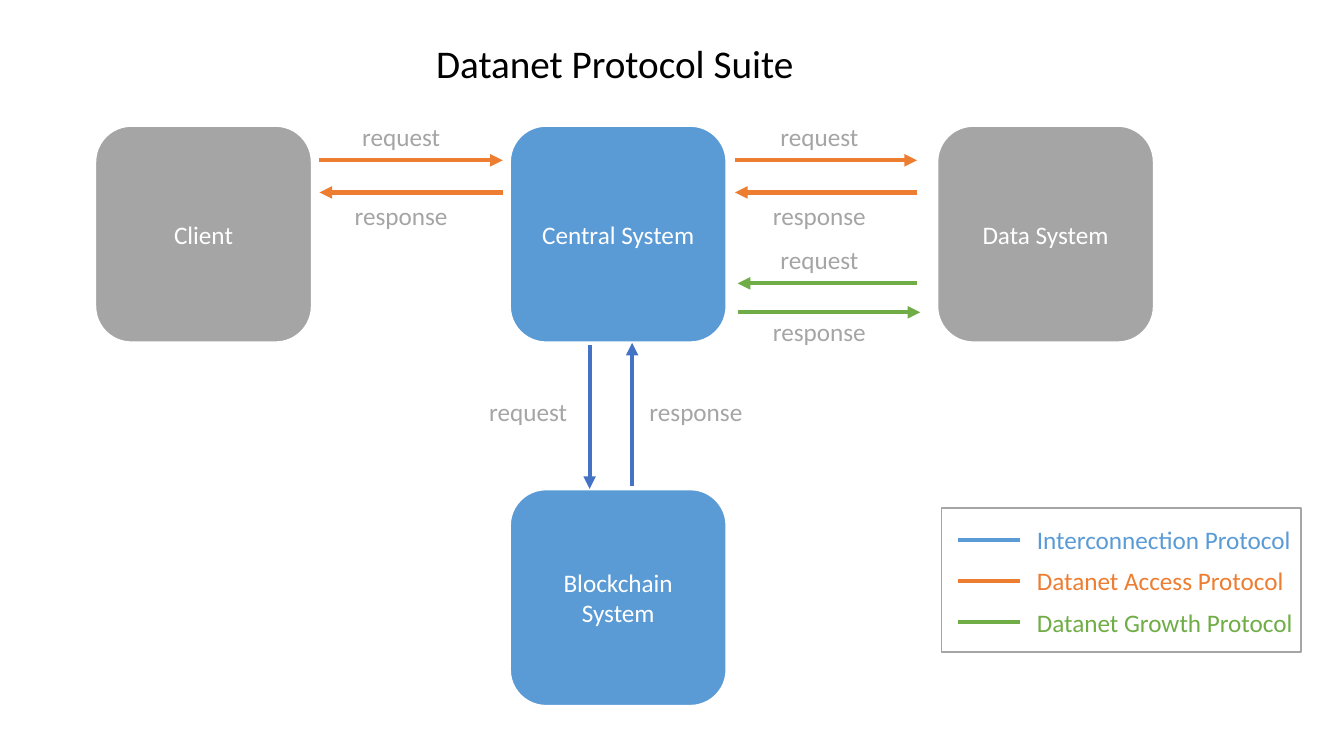
import pptx
import pptx.dml.color
import pptx.enum.shapes
import pptx.enum.text
import pptx.oxml
import pptx.oxml.ns
import pptx.util

Cm = pptx.util.Cm
Pt = pptx.util.Pt
ALIGN = pptx.enum.text.PP_ALIGN

COLOURS = {
    "black": "000000",
    "white": "FFFFFF",
    "grey": "A5A5A5",
    "system": "5B9BD5",
    "interconnection": "4472C4",
    "access": "ED7D31",
    "growth": "70AD47",
}
FONT = "Calibri"
BOX_SIZE = 5.46
BOX_RIGHT_OF_ARROWS = {"client": 2.4, "central": 12.85, "data": 23.62}
TOP_ROW, BOTTOM_ROW = 3.17, 12.33
LABEL_HEIGHT = 1.02
LABEL_WIDTHS = {"request": 2.49, "response": 2.87}


def colour(name):
    return pptx.dml.color.RGBColor.from_string(COLOURS[name])


def add_run(paragraph, text, colour_name, size=18):
    run = paragraph.add_run()
    run.text = text
    run.font.name = FONT
    run.font.size = Pt(size)
    run.font.color.rgb = colour(colour_name)


def add_text(slide, text, left, top, width, height, colour_name, size=18, align=ALIGN.LEFT):
    box = slide.shapes.add_textbox(Cm(left), Cm(top), Cm(width), Cm(height))
    box.text_frame.word_wrap = False
    box.text_frame.auto_size = pptx.enum.text.MSO_AUTO_SIZE.SHAPE_TO_FIT_TEXT
    paragraph = box.text_frame.paragraphs[0]
    paragraph.alignment = align
    add_run(paragraph, text, colour_name, size)


def add_label(slide, text, centre, top):
    width = LABEL_WIDTHS[text]
    add_text(slide, text, centre - width / 2, top, width, LABEL_HEIGHT, "grey", align=ALIGN.CENTER)


def add_system(slide, text, left, top, fill):
    shape = slide.shapes.add_shape(
        pptx.enum.shapes.MSO_SHAPE.ROUNDED_RECTANGLE,
        Cm(left), Cm(top), Cm(BOX_SIZE), Cm(BOX_SIZE))
    shape.shadow.inherit = False
    shape.fill.solid()
    shape.fill.fore_color.rgb = colour(fill)
    shape.line.color.rgb = colour("white")
    shape.line.width = Pt(1.5)
    shape.text_frame.word_wrap = True
    shape.text_frame.vertical_anchor = pptx.enum.text.MSO_ANCHOR.MIDDLE
    paragraph = shape.text_frame.paragraphs[0]
    paragraph.alignment = ALIGN.CENTER
    add_run(paragraph, text, "white")


def add_line(slide, start, end, colour_name, arrow=False):
    line = slide.shapes.add_connector(
        pptx.enum.shapes.MSO_CONNECTOR.STRAIGHT,
        Cm(start[0]), Cm(start[1]), Cm(end[0]), Cm(end[1]))
    line.line.color.rgb = colour(colour_name)
    line.line.width = Pt(3)
    if arrow:
        outline = line.line._get_or_add_ln()
        head = pptx.oxml.parse_xml(
            '<a:tailEnd %s type="triangle"/>' % pptx.oxml.ns.nsdecls("a"))
        outline.append(head)
    line._element.spPr.append(
        pptx.oxml.parse_xml("<a:effectLst %s/>" % pptx.oxml.ns.nsdecls("a")))


def add_legend(slide):
    frame = slide.shapes.add_shape(
        pptx.enum.shapes.MSO_SHAPE.RECTANGLE, Cm(23.72), Cm(12.8), Cm(9.07), Cm(3.63))
    frame.shadow.inherit = False
    frame.fill.background()
    frame.line.color.rgb = colour("grey")
    frame.line.width = Pt(1)
    entries = [
        ("Interconnection Protocol", "system", 6.99),
        ("Datanet Access Protocol", "access", 6.81),
        ("Datanet Growth Protocol", "growth", 7.04),
    ]
    for row, (text, colour_name, width) in enumerate(entries):
        middle = 13.6 + 1.04 * row
        add_line(slide, (24.13, middle), (25.7, middle), colour_name)
        add_text(slide, text, 25.88, middle - LABEL_HEIGHT / 2, width, LABEL_HEIGHT, colour_name)


def main():
    presentation = pptx.Presentation()
    presentation.slide_width = Cm(33.87)
    presentation.slide_height = Cm(19.05)
    slide = presentation.slides.add_slide(presentation.slide_layouts[6])

    # Title
    add_text(slide, "Datanet Protocol Suite", 10.74, 0.86, 9.63, 1.45, "black", size=28)

    # Systems
    columns = BOX_RIGHT_OF_ARROWS
    add_system(slide, "Client", columns["client"], TOP_ROW, "grey")
    add_system(slide, "Central System", columns["central"], TOP_ROW, "system")
    add_system(slide, "Data System", columns["data"], TOP_ROW, "grey")
    add_system(slide, "Blockchain System", columns["central"], BOTTOM_ROW, "system")

    # Access and growth arrows
    for start, end, colour_name in [
        ((8.05, 4.04), (12.67, 4.04), "access"),
        ((12.67, 4.85), (8.05, 4.85), "access"),
        ((18.52, 4.04), (23.11, 4.04), "access"),
        ((23.11, 4.85), (18.52, 4.85), "access"),
        ((23.11, 7.14), (18.59, 7.14), "growth"),
        ((18.59, 7.87), (23.19, 7.87), "growth"),
        # Interconnection arrows
        ((14.86, 8.69), (14.86, 12.32), "interconnection"),
        ((15.93, 12.24), (15.93, 8.64), "interconnection"),
    ]:
        add_line(slide, start, end, colour_name, arrow=True)

    # Arrow labels
    for text, centre, top in [
        ("request", 10.11, 2.92),
        ("response", 10.11, 4.93),
        ("request", 20.65, 2.92),
        ("response", 20.65, 4.93),
        ("request", 20.65, 6.02),
        ("response", 20.65, 7.85),
        ("request", 13.31, 9.87),
        ("response", 17.54, 9.87),
    ]:
        add_label(slide, text, centre, top)

    add_legend(slide)
    presentation.save("out.pptx")


if __name__ == "__main__":
    main()
